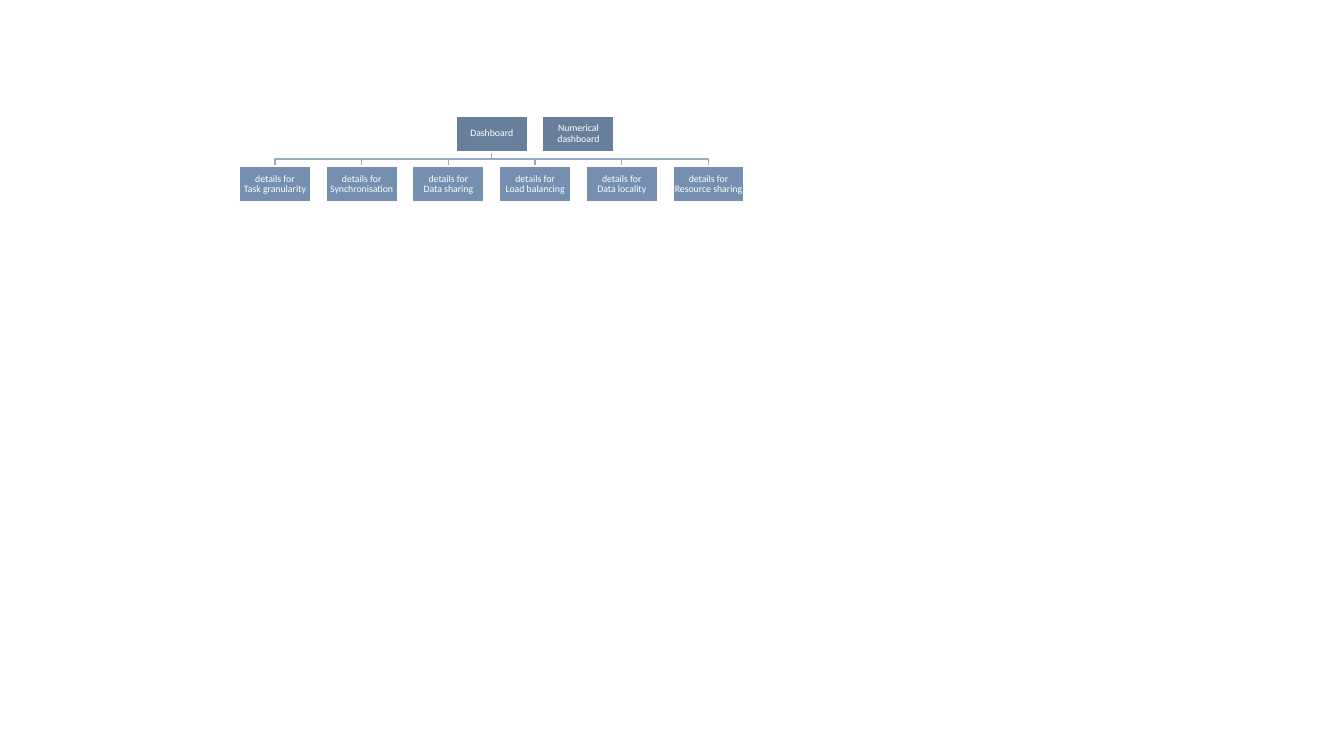
from pptx import Presentation
from pptx.dml.color import RGBColor
from pptx.enum.shapes import MSO_SHAPE as Shape
from pptx.enum.text import MSO_ANCHOR as Anchor, PP_ALIGN as Align
from pptx.util import Inches, Pt

COLORS = {"top": "677F9B", "detail": "748FB0", "link": "94ABC9", "white": "FFFFFF"}
TOPICS = ["Task granularity", "Synchronisation", "Data sharing",
          "Load balancing", "Data locality", "Resource sharing"]
DASHBOARD_COLUMN = 2.5


def color(name):
    """Return the named colour."""
    return RGBColor.from_string(COLORS[name])


def write(frame, text, size=7, font="Calibri", ink="white", align=Align.CENTER, spacing=0.9):
    """Fill a text frame with one paragraph, breaking at newlines."""
    para = frame.paragraphs[0]
    para.alignment, para.line_spacing = align, spacing
    for index, line in enumerate(text.split("\n")):
        if index:
            para.add_line_break()
        span = para.add_run()
        span.text = line
        span.font.size, span.font.name = Pt(size), font
        span.font.color.rgb = color(ink)


class Chart:
    """Draws a hierarchy of boxes on a grid of columns and rows."""

    left, top = 2.37, 1.15
    column, row = 0.86, 0.5
    box_columns, box_rows = 0.83, 0.71

    def __init__(self, slide):
        """Keep the slide to draw on."""
        self.slide = slide

    def point(self, column, row):
        """Convert a grid position to slide lengths."""
        return (Inches(self.left + column * self.column),
                Inches(self.top + row * self.row))

    def box(self, column, row, text, fill):
        """Add a labelled box at a grid position."""
        box = self.slide.shapes.add_shape(
            Shape.RECTANGLE, *self.point(column, row),
            Inches(self.box_columns * self.column), Inches(self.box_rows * self.row))
        box.shadow.inherit = False
        box.fill.solid()
        box.fill.fore_color.rgb = color(fill)
        box.line.color.rgb = color("white")
        box.line.width = Pt(1.5)
        frame = box.text_frame
        frame.word_wrap, frame.vertical_anchor = True, Anchor.MIDDLE
        frame.margin_left = frame.margin_right = frame.margin_top = frame.margin_bottom = 0
        write(frame, text)

    def link(self, parent, child):
        """Join a parent column to a child column in the next row."""
        start, end = (column + self.box_columns / 2 for column in (parent, child))
        middle = (self.box_rows + 1) / 2
        builder = self.slide.shapes.build_freeform(*self.point(start, self.box_rows))
        builder.add_line_segments(
            [self.point(start, middle), self.point(end, middle), self.point(end, 1)],
            close=False)
        link = builder.convert_to_shape()
        link.shadow.inherit = False
        link.fill.background()
        link.line.color.rgb = color("link")
        link.line.width = Pt(1)


def main():
    """Build and save the slide."""
    deck = Presentation()
    deck.slide_width, deck.slide_height = Inches(13.33), Inches(7.5)
    chart = Chart(deck.slides.add_slide(deck.slide_layouts[6]))
    for column in reversed(range(len(TOPICS))):
        chart.link(DASHBOARD_COLUMN, column)
    chart.box(DASHBOARD_COLUMN, 0, "Dashboard", "top")
    for column, topic in enumerate(TOPICS):
        chart.box(column, 1, f"details for\n{topic}", "detail")
    chart.box(DASHBOARD_COLUMN + 1, 0, "Numerical dashboard", "top")
    deck.save("out.pptx")


main()
